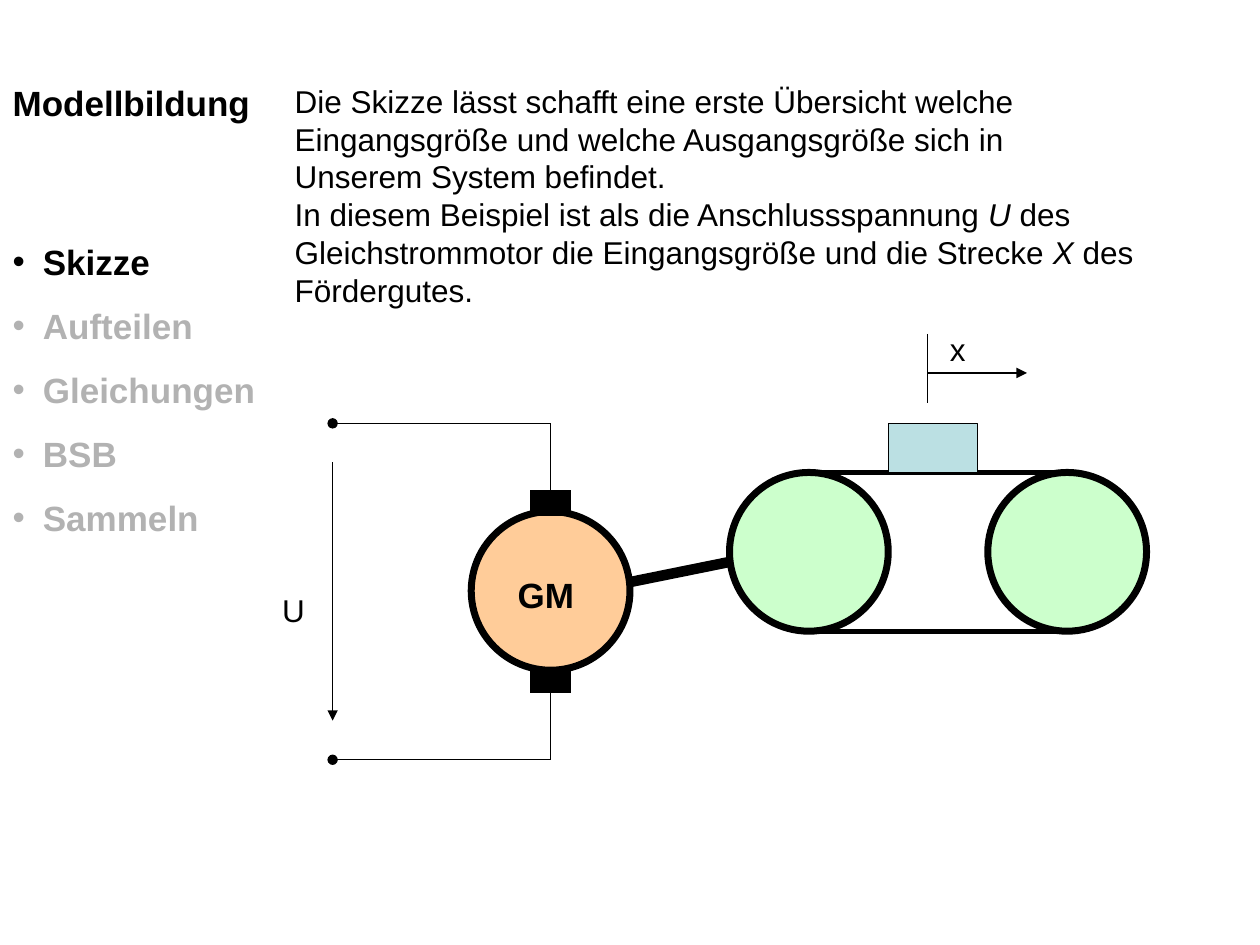
from collections import namedtuple

from lxml.etree import SubElement
from pptx import Presentation
from pptx.dml.color import RGBColor
from pptx.enum.shapes import MSO_CONNECTOR as Connector, MSO_SHAPE as Shape
from pptx.enum.text import MSO_ANCHOR as Anchor, MSO_AUTO_SIZE as AutoSize, PP_ALIGN as Align
from pptx.oxml.ns import qn
from pptx.util import Inches, Pt

Box = namedtuple("Box", "left top width height")
BLACK, GREY = "000000", "B2B2B2"
WHEEL = 1.26
TOPICS = ["Skizze", "Aufteilen", "Gleichungen", "BSB", "Sammeln"]
INTRO = [
    ["Die Skizze lässt schafft eine erste Übersicht welche"],
    ["Eingangsgröße und welche Ausgangsgröße sich in"],
    ["Unserem System befindet."],
    ["In diesem Beispiel ist als die Anschlussspannung ", "U",
     " des Gleichstrommotor die Eingangsgröße und die Strecke ", "X", " des Fördergutes."],
]


def color(value):
    return RGBColor.from_string(value)


def style(para, size, bold=False, shade=BLACK):
    para.alignment = Align.LEFT
    para.font.name = "Arial"
    para.font.size = Pt(size)
    para.font.bold = bold
    para.font.color.rgb = color(shade)


def place(holder, box):
    holder.left, holder.top, holder.width, holder.height = map(Inches, box)
    frame = holder.text_frame
    frame.auto_size = AutoSize.NONE
    frame.vertical_anchor = Anchor.TOP
    frame.word_wrap = True
    return frame


def add_label(parent, box, text, size=18, bold=False):
    frame = parent.shapes.add_textbox(*map(Inches, box)).text_frame
    frame.word_wrap = bold
    frame.text = text
    style(frame.paragraphs[0], size, bold)


def add_line(parent, start, end, width=0.75, tip=None):
    line = parent.shapes.add_connector(Connector.STRAIGHT, *map(Inches, (*start, *end)))
    line.line.color.rgb = color(BLACK)
    line.line.width = Pt(width)
    properties = line._element.spPr
    if tip:
        SubElement(properties.find(qn("a:ln")), qn("a:tailEnd"), type=tip)
    SubElement(properties, qn("a:effectLst"))


def add_solid(parent, kind, box, fill, width):
    solid = parent.shapes.add_shape(kind, *map(Inches, box))
    solid.shadow.inherit = False
    solid.fill.solid()
    solid.fill.fore_color.rgb = color(fill)
    solid.line.color.rgb = color(BLACK)
    solid.line.width = Pt(width)


def add_heading(page, box):
    frame = place(page.shapes.title, box)
    frame.text = "Modellbildung"
    style(frame.paragraphs[0], 20, True)


def add_topics(page, box):
    frame = place(page.placeholders[1], box)
    frame.text = "\n".join(TOPICS)
    for para, topic in zip(frame.paragraphs, TOPICS):
        style(para, 20, True, BLACK if topic == "Skizze" else GREY)
        para.space_before = Pt(12.5)
        properties = para._p.get_or_add_pPr()
        properties.set("marL", str(Inches(0.24)))
        properties.set("indent", str(-Inches(0.24)))
        SubElement(properties, qn("a:buChar"), char="•").getparent()
        bullet = properties.find(qn("a:buChar"))
        default = properties.find(qn("a:defRPr"))
        if default is not None:
            default.addprevious(bullet)


def add_intro(page, box):
    frame = page.shapes.add_textbox(*map(Inches, box)).text_frame
    frame.word_wrap = True
    for index, pieces in enumerate(INTRO):
        para = frame.add_paragraph() if index else frame.paragraphs[0]
        style(para, 18)
        for piece in pieces:
            span = para.add_run()
            span.text = piece
            if piece in ("U", "X"):
                span.font.italic = True


def add_motor(page, box):
    group = page.shapes.add_group_shape()
    left, top, width, height = box
    bottom = top + height
    terminal = left + 0.5
    axis = left + width - WHEEL / 2
    circle = Box(axis - WHEEL / 2, top + 0.7, WHEEL, WHEEL)
    add_solid(group, Shape.OVAL, circle, "FFCC99", 4)
    add_label(group, Box(axis - 0.36, top + 1.14, 0.71, 0.44), "GM", 20, True)
    for edge, inward in ((top, 1), (bottom, -1)):
        brush = edge + 0.63 * inward
        add_line(group, (axis - 0.16, brush), (axis + 0.16, brush), 15)
        add_line(group, (axis, edge), (axis, edge + 0.55 * inward))
        add_line(group, (axis, edge), (terminal, edge), tip="oval")
    add_line(group, (terminal, top + 0.31), (terminal, bottom - 0.31), tip="triangle")
    add_label(group, Box(left, top + 1.28, 0.38, 0.4), "U")


def add_conveyor(page, box):
    group = page.shapes.add_group_shape()
    left, top, width, height = box
    right, bottom = left + width, top + height
    belt = bottom - WHEEL
    for wheel_left in (left, right - WHEEL):
        add_solid(group, Shape.OVAL, Box(wheel_left, belt, WHEEL, WHEEL), "CCFFCC", 4)
    for level in (belt, bottom):
        add_line(group, (left + WHEEL / 2, level), (right - WHEEL / 2, level), 3)
    add_solid(group, Shape.RECTANGLE, Box(left + WHEEL, belt - 0.39, 0.71, 0.39), "BBE0E3", 0.75)
    mark = left + 1.57
    add_label(group, Box(mark + 0.08, top, 0.32, 0.4), "x")
    add_line(group, (mark, top + 0.08), (mark, top + 0.63))
    add_line(group, (mark, top + 0.39), (mark + 0.79, top + 0.39), tip="triangle")


def main():
    deck = Presentation()
    deck.slide_width, deck.slide_height = Inches(10), Inches(7.5)
    page = deck.slides.add_slide(deck.slide_layouts[1])
    add_heading(page, Box(0, 0.6, 2.24, 0.63))
    add_topics(page, Box(0, 1.86, 2.24, 4.33))
    add_intro(page, Box(2.24, 0.6, 7.15, 1.9))
    add_motor(page, Box(2.14, 3.36, 2.86, 2.67))
    add_conveyor(page, Box(5.79, 2.57, 3.31, 2.44))
    add_line(page, (5, 4.62), (5.79, 4.46), 6)
    deck.save("out.pptx")


if __name__ == "__main__":
    main()
